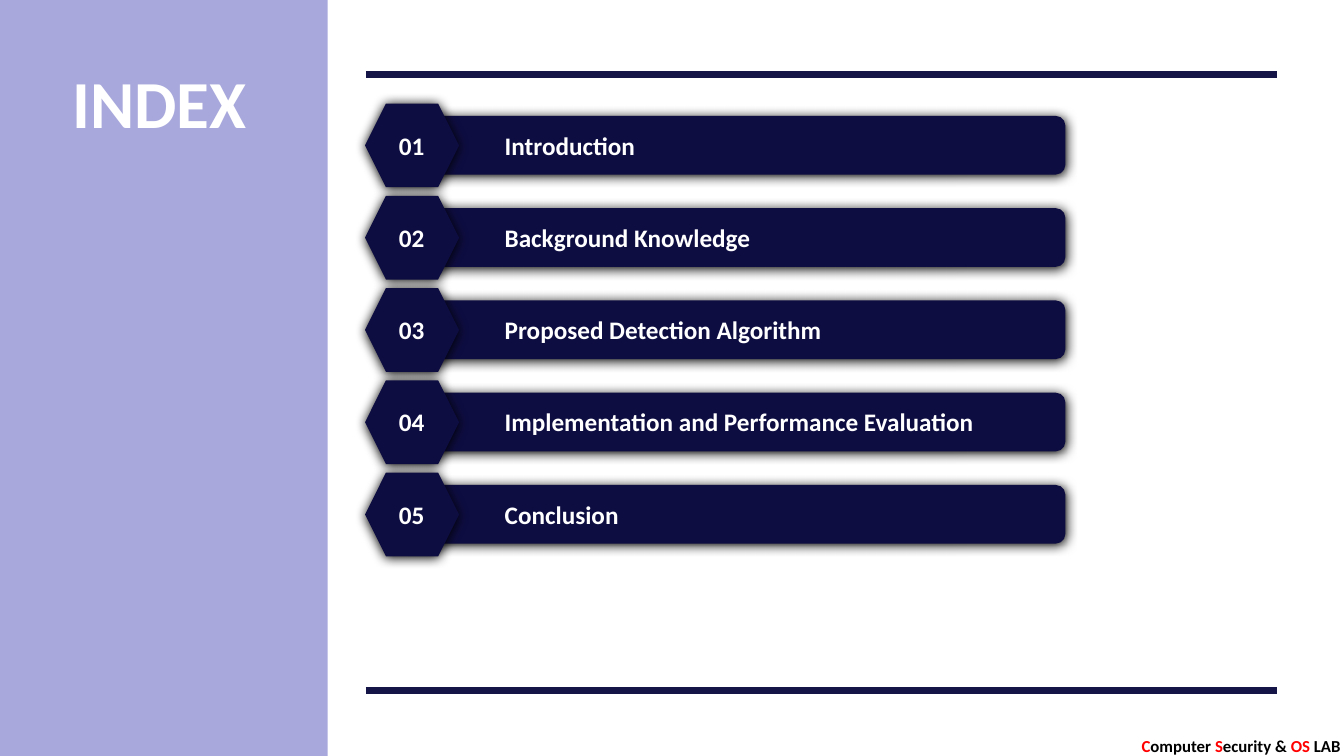
from dataclasses import dataclass

from lxml import etree
from pptx import Presentation
from pptx.dml.color import RGBColor
from pptx.enum.shapes import MSO_CONNECTOR, MSO_SHAPE
from pptx.enum.text import MSO_ANCHOR, MSO_AUTO_SIZE, PP_ALIGN
from pptx.oxml import parse_xml
from pptx.oxml.ns import nsdecls, qn
from pptx.util import Cm, Pt

RECT, ROUND, HEX = MSO_SHAPE.RECTANGLE, MSO_SHAPE.ROUNDED_RECTANGLE, MSO_SHAPE.HEXAGON
LINE = MSO_CONNECTOR.STRAIGHT
LEFT, TOP, GROW = PP_ALIGN.LEFT, MSO_ANCHOR.TOP, MSO_AUTO_SIZE.SHAPE_TO_FIT_TEXT


@dataclass(frozen=True)
class Theme:
    font: str = "Calibri"
    panel: str = "000099"
    rule: str = "161548"
    bar: str = "0E0D42"
    white: str = "FFFFFF"
    black: str = "000000"
    red: str = "FF0000"
    title: int = 48
    body: int = 18
    foot: int = 12


class Deck:
    def __init__(self, theme):
        self.theme = theme
        self.file = Presentation()
        self.file.slide_width, self.file.slide_height = Cm(33.87), Cm(19.05)
        self.slide = self.file.slides.add_slide(self.file.slide_layouts[5])

    def fill(self, frame, parts, size):
        """Fill a frame with (text, colour) parts on one line."""
        look = {"word_wrap": False, "auto_size": GROW, "vertical_anchor": TOP}
        for name, value in look.items():
            setattr(frame, name, value)
        line = frame.paragraphs[0]
        line.alignment = LEFT
        for text, color in parts:
            run = line.add_run()
            run.text = text
            form = {"name": self.theme.font, "size": Pt(size), "bold": True}
            for name, value in form.items():
                setattr(run.font, name, value)
            run.font.color.rgb = RGBColor.from_string(color)

    def title(self, text, *box):
        shape = self.slide.shapes.title
        places = dict(zip(("left", "top", "width", "height"), box))
        for name, value in places.items():
            setattr(shape, name, Cm(value))
        self.fill(shape.text_frame, [(text, self.theme.white)], self.theme.title)
        # Bring the title in front of the panel
        shape.element.getparent().append(shape.element)

    def text(self, parts, size, *box):
        shape = self.slide.shapes.add_textbox(*map(Cm, box))
        self.fill(shape.text_frame, parts, size)

    def shape(self, kind, color, *box, alpha=None, shadow=False):
        shape = self.slide.shapes.add_shape(kind, *map(Cm, box))
        shape.shadow.inherit = False
        shape.fill.solid()
        shape.fill.fore_color.rgb = RGBColor.from_string(color)
        shape.line.fill.background()
        props = shape.element.spPr
        if alpha:
            tone = props.find(qn("a:solidFill"))[0]
            etree.SubElement(tone, qn("a:alpha"), val=str(alpha * 1000))
        if shadow:
            props.find(qn("a:effectLst")).append(parse_xml(
                f'<a:outerShdw {nsdecls("a")} blurRad="{Pt(8.5)}" dist="{Pt(1)}" '
                f'dir="5400000" algn="t" rotWithShape="0">'
                f'<a:srgbClr val="{self.theme.black}"/></a:outerShdw>'))

    def rule(self, left, right, top):
        line = self.slide.shapes.add_connector(LINE, *map(Cm, (left, top, right, top)))
        line.line.color.rgb = RGBColor.from_string(self.theme.rule)
        line.line.width = Pt(4.5)
        etree.SubElement(line.element.spPr, qn("a:effectLst"))

    def entry(self, order, label, width, top):
        """One index row: bar, numbered hexagon and label."""
        look = self.theme
        self.shape(ROUND, look.bar, 10.19, top + 0.31, 16.66, 1.48, shadow=True)
        self.shape(HEX, look.bar, 9.2, top, 2.37, 2.11, shadow=True)
        cells = [(f"{order:02}", 9.8, 1.17), (label, 12.47, width)]
        for text, left, wide in cells:
            self.text([(text, look.white)], look.body, left, top + 0.54, wide, 1.02)


def main():
    theme = Theme()
    deck = Deck(theme)

    # Side panel, title and rules
    deck.shape(RECT, theme.panel, 0, 0, 8.26, 19.05, alpha=34)
    deck.title("INDEX", 1.57, 1.42, 4.95, 2.31)
    for top in (1.88, 17.4):
        deck.rule(9.22, 32.18, top)

    # Footer
    red, black = theme.red, theme.black
    foot = [("C", red), ("omputer ", black), ("S", red),
            ("ecurity & ", black), ("OS ", red), ("LAB", black)]
    deck.text(foot, theme.foot, 28.52, 18.42, 5.59, 0.76)

    # Index rows: label and its width
    rows = [
        ("Introduction", 3.81),
        ("Background Knowledge", 6.76),
        ("Proposed Detection Algorithm", 8.56),
        ("Implementation and Performance Evaluation", 12.42),
        ("Conclusion", 3.4),
    ]
    first, last = 2.61, 11.91
    step = (last - first) / (len(rows) - 1)
    for i, (label, width) in enumerate(rows):
        deck.entry(i + 1, label, width, first + i * step)

    deck.file.save("out.pptx")


if __name__ == "__main__":
    main()
